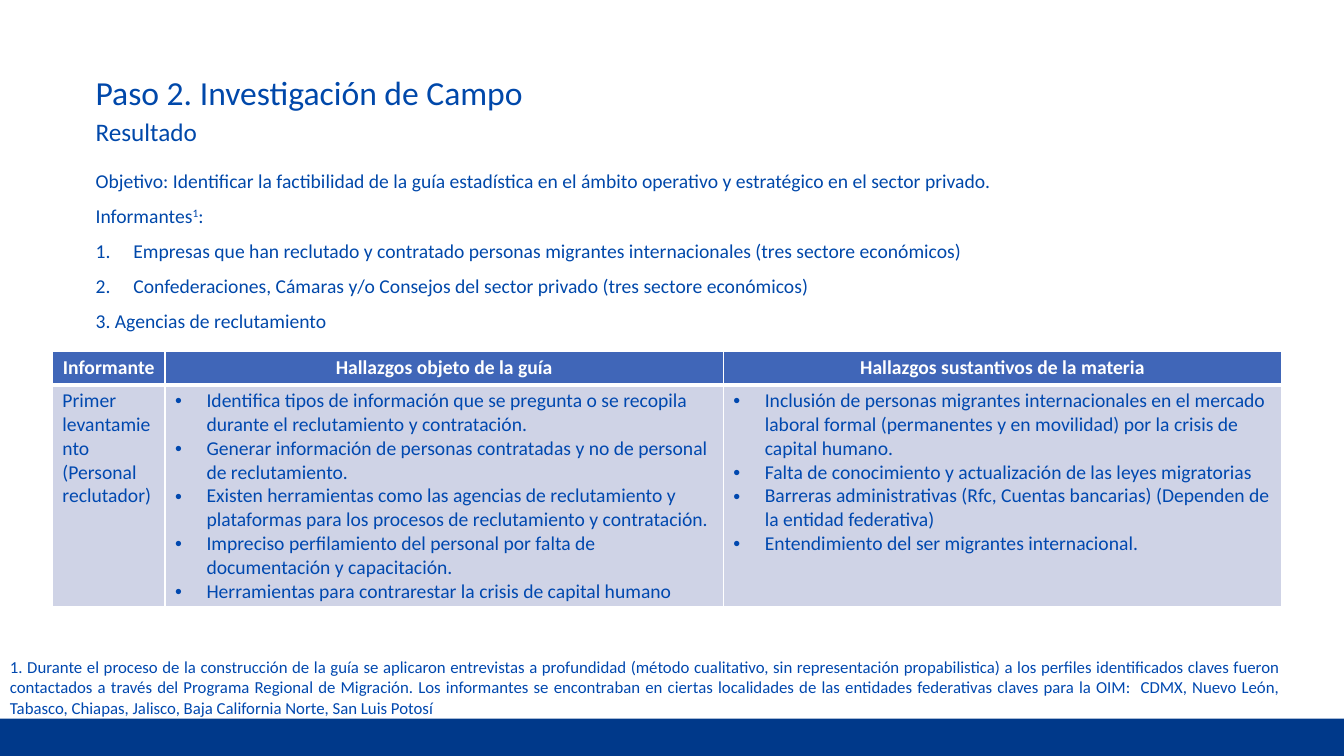
from dataclasses import dataclass

from lxml.etree import SubElement
from pptx import Presentation
from pptx.dml.color import RGBColor
from pptx.enum.shapes import MSO_SHAPE
from pptx.enum.text import MSO_ANCHOR, MSO_AUTO_SIZE, PP_ALIGN
from pptx.oxml.ns import qn
from pptx.slide import Slide
from pptx.table import _Cell
from pptx.text.text import TextFrame
from pptx.util import Cm, Pt


@dataclass(frozen=True)
class Theme:
    font: str = "Calibri"
    heading: str = "0048AA"
    text: str = "0048AF"
    footer: str = "00398A"
    header_fill: str = "4066B8"
    body_fill: str = "CFD3E6"
    white: str = "FFFFFF"
    title_size: int = 24
    subtitle_size: int = 18
    body_size: int = 14
    note_size: int = 12


THEME = Theme()


@dataclass(frozen=True)
class Line:
    text: str
    superscript: str = ""
    tail: str = ""
    bullet: str = ""  # "1." numbers the line, any other mark is a bullet
    indent: float = 0


@dataclass(frozen=True)
class Block:
    left: float
    top: float
    width: float
    height: float
    lines: list[Line]
    size: int
    color: str = THEME.heading
    align: PP_ALIGN = PP_ALIGN.LEFT
    anchor: MSO_ANCHOR = MSO_ANCHOR.TOP
    spacing: float | None = 0.9
    before: float = 10
    fit: MSO_AUTO_SIZE = MSO_AUTO_SIZE.NONE


@dataclass(frozen=True)
class Column:
    width: float
    heading: str
    findings: list[Line]


def findings(*texts: str) -> list[Line]:
    return [Line(text, bullet="•", indent=0.79) for text in texts]


BLOCKS = [
    Block(2.16, 1.8, 29.21, 0.99, [Line("Paso 2. Investigación de Campo")], THEME.title_size),
    Block(2.16, 2.41, 11.1, 1.88, [Line("Resultado")], THEME.subtitle_size,
          anchor=MSO_ANCHOR.MIDDLE),
    Block(2.16, 4.19, 30.38, 11.18, [
        Line("Objetivo: Identificar la factibilidad de la guía estadística en el ámbito "
             "operativo y estratégico en el sector privado."),
        Line("Informantes", superscript="1", tail=":"),
        Line("Empresas que han reclutado y contratado personas migrantes internacionales "
             "(tres sectore económicos)", bullet="1.", indent=0.95),
        Line("Confederaciones, Cámaras y/o Consejos del sector privado "
             "(tres sectore económicos)", bullet="1.", indent=0.95),
        Line("3. Agencias de reclutamiento"),
    ], THEME.body_size, align=PP_ALIGN.JUSTIFY),
    Block(0, 16.43, 32.54, 1.8, [
        Line("1. Durante el proceso de la construcción de la guía se aplicaron entrevistas a "
             "profundidad (método cualitativo, sin representación propabilistica) a los "
             "perfiles identificados claves fueron contactados a través del Programa Regional "
             "de Migración. Los informantes se encontraban en ciertas localidades de las "
             "entidades federativas claves para la OIM:  CDMX, Nuevo León, Tabasco, Chiapas, "
             "Jalisco, Baja California Norte, San Luis Potosí"),
    ], THEME.note_size, THEME.text, PP_ALIGN.JUSTIFY, spacing=None, before=0,
          fit=MSO_AUTO_SIZE.SHAPE_TO_FIT_TEXT),
]

COLUMNS = [
    Column(2.84, "Informante", [Line("Primer levantamiento (Personal reclutador)")]),
    Column(14.07, "Hallazgos objeto de la guía", findings(
        "Identifica tipos de información que se pregunta o se recopila durante el "
        "reclutamiento y contratación.",
        "Generar información de personas contratadas y no de personal de reclutamiento.",
        "Existen herramientas como las agencias de reclutamiento y plataformas para los "
        "procesos de reclutamiento y contratación.",
        "Impreciso perfilamiento del personal por falta de documentación y capacitación.",
        "Herramientas para contrarestar la crisis de capital humano")),
    Column(14.07, "Hallazgos sustantivos de la materia", findings(
        "Inclusión de personas migrantes internacionales en el mercado laboral formal "
        "(permanentes y en movilidad) por la crisis de capital humano.",
        "Falta de conocimiento y actualización de las leyes migratorias",
        "Barreras administrativas (Rfc, Cuentas bancarias) (Dependen de la entidad federativa)",
        "Entendimiento del ser migrantes internacional.")),
]
ROW_HEIGHTS = (0.84, 5.59)


def write(frame: TextFrame, lines: list[Line], *, size: int, color: str, bold: bool = False,
          align: PP_ALIGN = PP_ALIGN.LEFT, spacing: float | None = None,
          before: float = 0) -> None:
    for index, line in enumerate(lines):
        paragraph = frame.add_paragraph() if index else frame.paragraphs[0]
        paragraph.alignment = align
        paragraph.line_spacing = spacing
        paragraph.space_before = Pt(before)
        if line.bullet:
            properties = paragraph._p.get_or_add_pPr()
            properties.set("marL", str(Cm(line.indent)))
            properties.set("indent", str(-Cm(line.indent)))
            if line.bullet == "1.":
                SubElement(properties, qn("a:buAutoNum"), type="arabicPeriod")
            else:
                SubElement(properties, qn("a:buFont"), typeface="Arial")
                SubElement(properties, qn("a:buChar"), char=line.bullet)
        for text in filter(None, (line.text, line.superscript, line.tail)):
            run = paragraph.add_run()
            run.text = text
            run.font.name = THEME.font
            run.font.size = Pt(size)
            run.font.bold = bold
            run.font.color.rgb = RGBColor.from_string(color)
            if text == line.superscript:
                run.font._element.set("baseline", "30000")


def add_block(slide: Slide, block: Block) -> None:
    frame = slide.shapes.add_textbox(Cm(block.left), Cm(block.top), Cm(block.width),
                                     Cm(block.height)).text_frame
    frame.word_wrap = True
    frame.auto_size = block.fit
    frame.vertical_anchor = block.anchor
    write(frame, block.lines, size=block.size, color=block.color, align=block.align,
          spacing=block.spacing, before=block.before)


def style_cell(cell: _Cell, fill: str, top: float, bottom: float) -> None:
    cell.margin_top, cell.margin_bottom = Cm(0.1), Cm(0.05)
    properties = cell._tc.get_or_add_tcPr()
    # Borders come before the fill in the cell properties
    for side, width in (("L", 1), ("R", 1), ("T", top), ("B", bottom)):
        border = SubElement(properties, qn(f"a:ln{side}"), w=str(Pt(width)))
        SubElement(SubElement(border, qn("a:solidFill")), qn("a:srgbClr"), val=THEME.white)
    cell.fill.solid()
    cell.fill.fore_color.rgb = RGBColor.from_string(fill)


def add_findings_table(slide: Slide) -> None:
    width = sum(column.width for column in COLUMNS)
    table = slide.shapes.add_table(len(ROW_HEIGHTS), len(COLUMNS), Cm(1.32), Cm(8.86),
                                   Cm(width), Cm(sum(ROW_HEIGHTS))).table
    for row, height in zip(table.rows, ROW_HEIGHTS):
        row.height = Cm(height)
    for index, column in enumerate(COLUMNS):
        table.columns[index].width = Cm(column.width)
        heading, body = table.cell(0, index), table.cell(1, index)
        style_cell(heading, THEME.header_fill, top=1, bottom=3)
        style_cell(body, THEME.body_fill, top=3, bottom=1)
        write(heading.text_frame, [Line(column.heading)], size=THEME.body_size,
              color=THEME.white, bold=True, align=PP_ALIGN.CENTER)
        write(body.text_frame, column.findings, size=THEME.body_size, color=THEME.text)


def add_footer_bar(slide: Slide) -> None:
    bar = slide.shapes.add_shape(MSO_SHAPE.RECTANGLE, 0, Cm(18.11), Cm(33.87), Cm(0.94))
    bar.shadow.inherit = False
    bar.fill.solid()
    bar.fill.fore_color.rgb = RGBColor.from_string(THEME.footer)
    bar.line.fill.background()


def main() -> None:
    presentation = Presentation()
    presentation.slide_width, presentation.slide_height = Cm(33.87), Cm(19.05)
    slide = presentation.slides.add_slide(presentation.slide_layouts[6])
    add_footer_bar(slide)
    # Headings, body and footnote
    for block in BLOCKS:
        add_block(slide, block)
    add_findings_table(slide)
    presentation.save("out.pptx")


if __name__ == "__main__":
    main()
